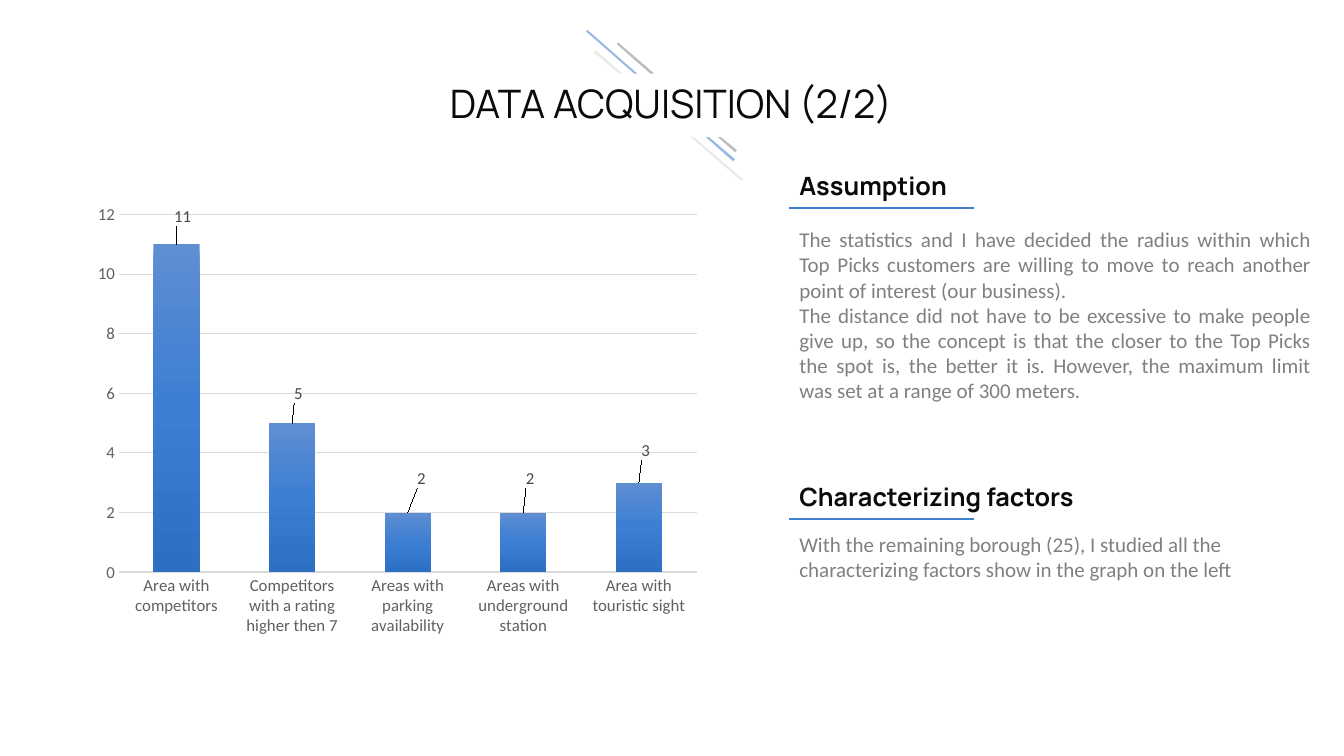
from copy import deepcopy
from pptx import Presentation
from pptx.chart.data import CategoryChartData
from pptx.dml.color import RGBColor
from pptx.enum.chart import XL_CHART_TYPE, XL_LABEL_POSITION, XL_TICK_MARK
from pptx.enum.shapes import MSO_CONNECTOR
from pptx.enum.text import MSO_AUTO_SIZE, PP_ALIGN
from pptx.oxml import parse_xml
from pptx.oxml.ns import nsdecls, qn
from pptx.oxml.xmlchemy import OxmlElement
from pptx.util import Pt

PX = 9144
COLORS = {
    "ink": "0A0A0A", "body": "808080", "blue": "427FCC", "gray": "878787",
    "light": "D8D8D8", "axis": "606060", "grid": "DADADA", "label": "474747",
    "bar_top": "608ED2", "bar_middle": "3B7ED3", "bar_bottom": "2D6FC3",
}


def style_font(font, name, size, color, bold=False):
    font.name, font.size, font.bold = name, Pt(size), bold
    font.color.rgb = RGBColor.from_string(COLORS[color])


def chart_layout(target, **values):
    items = "".join(f'<c:{tag} val="{value}"/>' for tag, value in values.items())
    return parse_xml(f'<c:layout {nsdecls("c")}><c:{target}>{items}</c:{target}></c:layout>')


prs = Presentation()
prs.slide_width, prs.slide_height = 1333 * PX, 750 * PX
s = prs.slides.add_slide(prs.slide_layouts[6])

texts = [
    ((429, 74, 473, 57), ["DATA ACQUISITION (2/2)"], "Manrope", 28, "ink", False, PP_ALIGN.CENTER),
    ((783, 164, 169, 40), ["Assumption"], "Manrope", 18, "ink", True, PP_ALIGN.LEFT),
    ((783, 220, 527, 187), [
        "The statistics and I have decided the radius within which Top Picks customers are "
        "willing to move to reach another point of interest (our business).",
        "The distance did not have to be excessive to make people give up, so the concept is "
        "that the closer to the Top Picks the spot is, the better it is. However, the maximum "
        "limit was set at a range of 300 meters.",
    ], "Calibri", 15, "body", False, PP_ALIGN.JUSTIFY),
    ((783, 473, 319, 40), ["Characterizing factors"], "Manrope", 18, "ink", True, PP_ALIGN.LEFT),
    ((783, 522, 527, 61), [
        "With the remaining borough (25), I studied all the characterizing factors show in "
        "the graph on the left",
    ], "Calibri", 15, "body", False, PP_ALIGN.LEFT),
]
for box, lines, font, size, color, bold, align in texts:
    tf = s.shapes.add_textbox(*(v * PX for v in box)).text_frame
    tf.word_wrap = align != PP_ALIGN.CENTER
    tf.auto_size = MSO_AUTO_SIZE.SHAPE_TO_FIT_TEXT
    tf.text = "\n".join(lines)
    for p in tf.paragraphs:
        p.alignment = align
        style_font(p.runs[0].font, font, size, color, bold)

stripes = [
    ("light", [(617, 73), (591, 50), (589, 52), (614, 73)]),
    ("blue", [(632, 73), (583, 30), (581, 31), (629, 73)]),
    ("gray", [(649, 73), (613, 42), (612, 44), (645, 73)]),
    ("light", [(685, 136), (736, 180), (737, 178), (688, 136)]),
    ("blue", [(700, 136), (727, 160), (729, 158), (703, 136)]),
    ("gray", [(712, 136), (729, 151), (731, 149), (715, 136)]),
]
for color, points in stripes:
    builder = s.shapes.build_freeform(*points[0], scale=PX)
    builder.add_line_segments(points[1:], close=True)
    sp = builder.convert_to_shape()
    sp.shadow.inherit = False
    sp.line.fill.background()
    sp.fill.solid()
    sp.fill.fore_color.rgb = RGBColor.from_string(COLORS[color])
    alpha = OxmlElement("a:alpha")
    alpha.set("val", "55000")
    sp.fill._xPr.find(qn("a:solidFill"))[0].append(alpha)

for y in (206, 515):
    rule = s.shapes.add_connector(MSO_CONNECTOR.STRAIGHT, 783 * PX, y * PX, 966 * PX, y * PX)
    rule.line.color.rgb = RGBColor.from_string(COLORS["blue"])
    rule.line.width = Pt(1.5)
    rule.element.spPr.append(OxmlElement("a:effectLst"))

data = CategoryChartData()
data.categories = [
    "Area with competitors", "Competitors with a rating higher then 7",
    "Areas with parking availability", "Areas with underground station",
    "Area with touristic sight",
]
data.add_series("Series 1", [11, 5, 2, 2, 3])
chart = s.shapes.add_chart(
    XL_CHART_TYPE.COLUMN_CLUSTERED, 85 * PX, 194 * PX, 619 * PX, 446 * PX, data
).chart
chart.has_legend = chart.has_title = False
style_font(chart.font, "Calibri", 10, "ink")

plot_area = next(chart.element.iter(qn("c:plotArea")))
for old in plot_area.findall(qn("c:layout")):
    plot_area.remove(old)
plot_area.insert(0, chart_layout(
    "manualLayout", layoutTarget="inner", xMode="edge", yMode="edge",
    x=0.053, y=0.042, w=0.926, h=0.796,
))

for axis in (chart.category_axis, chart.value_axis):
    axis.major_tick_mark = axis.minor_tick_mark = XL_TICK_MARK.NONE
    style_font(axis.tick_labels.font, "Calibri", 12, "axis")
chart.category_axis.format.line.color.rgb = RGBColor.from_string(COLORS["grid"])
chart.category_axis.format.line.width = Pt(1)
value_axis = chart.value_axis
value_axis.minimum_scale, value_axis.maximum_scale, value_axis.major_unit = 0, 12, 2
value_axis.format.line.fill.background()
value_axis.major_gridlines.format.line.color.rgb = RGBColor.from_string(COLORS["grid"])
value_axis.major_gridlines.format.line.width = Pt(0.75)

plot = chart.plots[0]
plot.gap_width = 150
plot.vary_by_categories = False
series = plot.series[0]
fill = series.format.fill
fill.gradient()
fill.gradient_angle = 270
stop_list = next(chart.element.iter(qn("a:gsLst")))
stop_list.insert(1, deepcopy(stop_list[0]))
for i, (stop, color) in enumerate(zip(fill.gradient_stops, ("bar_top", "bar_middle", "bar_bottom"))):
    stop.position = i / 2
    stop.color.rgb = RGBColor.from_string(COLORS[color])

labels = series.data_labels
labels.show_value = True
labels.position = XL_LABEL_POSITION.OUTSIDE_END
style_font(labels.font, "Calibri", 12, "label")
offsets = [(0.01, -0.03), (0.01, -0.035), (0.022, -0.045), (0.011, -0.045), (0.011, -0.04)]
for i in range(len(offsets)):
    label = series.points[i].data_label
    style_font(label.font, "Calibri", 12, "label")
    label.position = XL_LABEL_POSITION.OUTSIDE_END
for label, (x, y) in zip(chart.element.iter(qn("c:dLbl")), offsets):
    label.insert(1, chart_layout("manualLayout", x=x, y=y))

prs.save("out.pptx")
